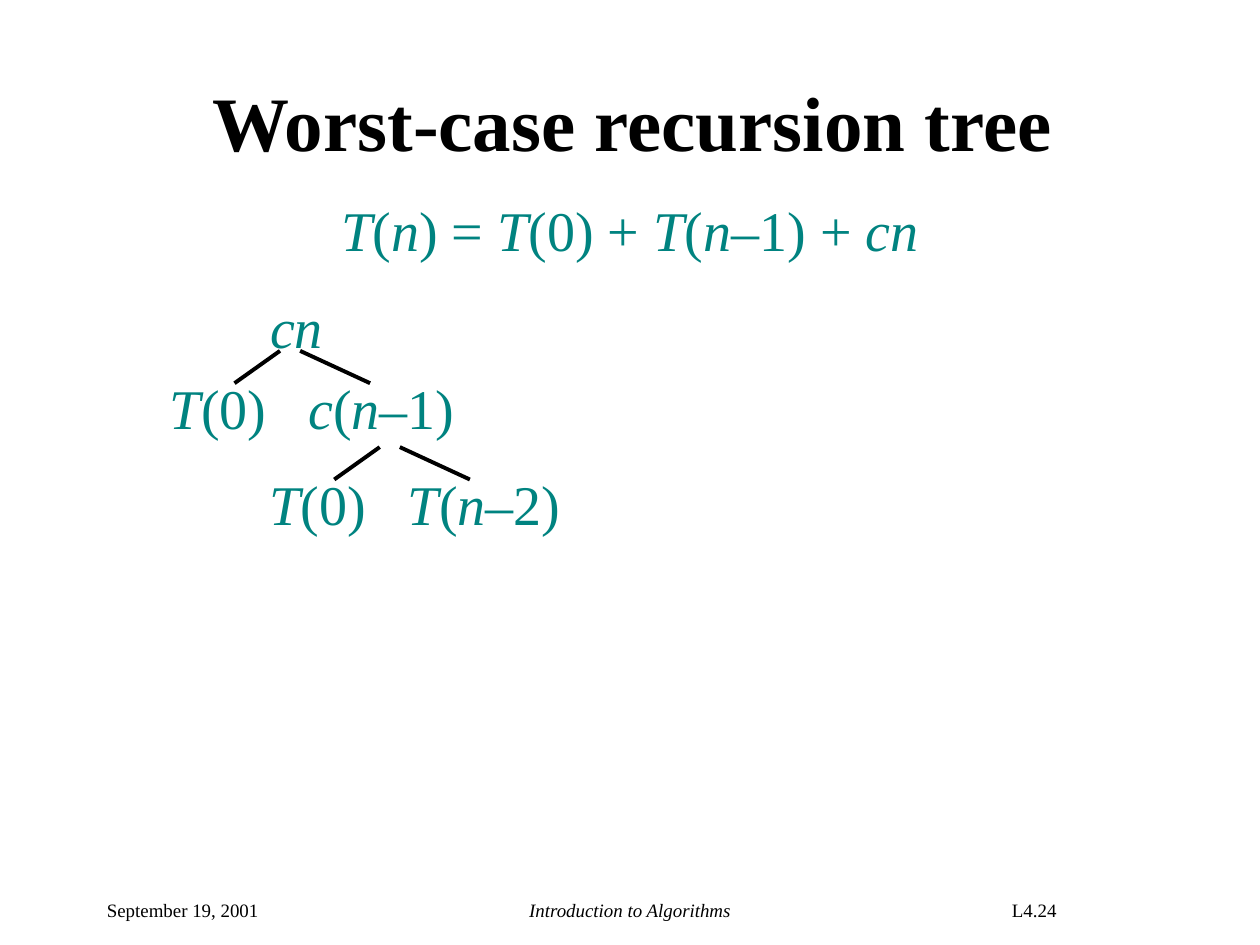
from itertools import groupby

from pptx import Presentation
from pptx.dml.color import RGBColor
from pptx.enum.shapes import MSO_CONNECTOR, MSO_SHAPE
from pptx.enum.text import MSO_ANCHOR, MSO_AUTO_SIZE, PP_ALIGN
from pptx.oxml.ns import qn
from pptx.util import Pt

BLACK = RGBColor(0x00, 0x00, 0x00)
WHITE = RGBColor(0xFF, 0xFF, 0xFF)
TEAL = RGBColor(0x00, 0x83, 0x80)
FONT = "Times New Roman"
TITLE_ONLY = 5
FORMULA_HEIGHT = 46


def set_font(p, size, color):
    p.font.name = FONT
    p.font.size = Pt(size)
    p.font.color.rgb = color


def write_formula(tf, text, align):
    """Write one line of mathematics with its letters in italics."""
    tf.word_wrap = False
    tf.auto_size = MSO_AUTO_SIZE.SHAPE_TO_FIT_TEXT
    tf.vertical_anchor = MSO_ANCHOR.TOP
    p = tf.paragraphs[0]
    p.alignment = align
    set_font(p, 32, TEAL)
    for is_variable, chars in groupby(text, str.isalpha):
        r = p.add_run()
        r.text = "".join(chars)
        r.font.italic = is_variable


def add_title(slide, x, y, w, h):
    sp = slide.shapes.title
    sp.left, sp.top, sp.width, sp.height = Pt(x), Pt(y), Pt(w), Pt(h)
    tf = sp.text_frame
    tf.text = "Worst-case recursion tree"
    tf.vertical_anchor = MSO_ANCHOR.MIDDLE
    p = tf.paragraphs[0]
    p.alignment = PP_ALIGN.LEFT
    set_font(p, 44, BLACK)
    p.font.bold = True


def add_recurrence(slide, x, y, w):
    sp = slide.shapes.add_textbox(Pt(x), Pt(y), Pt(w), Pt(FORMULA_HEIGHT))
    write_formula(sp.text_frame, "T(n) = T(0) + T(n–1) + cn", PP_ALIGN.CENTER)


def add_node(slide, text, x, y, w, align=PP_ALIGN.LEFT):
    sp = slide.shapes.add_shape(
        MSO_SHAPE.RECTANGLE, Pt(x), Pt(y), Pt(w), Pt(FORMULA_HEIGHT))
    sp.shadow.inherit = False
    sp.fill.solid()
    sp.fill.fore_color.rgb = WHITE
    sp.line.fill.background()
    write_formula(sp.text_frame, text, align)


def add_branch(slide, x1, y1, x2, y2):
    line = slide.shapes.add_connector(
        MSO_CONNECTOR.STRAIGHT, Pt(x1), Pt(y1), Pt(x2), Pt(y2))
    line.line.color.rgb = BLACK
    line.line.width = Pt(2.25)
    sp_pr = line._element.spPr
    sp_pr.append(sp_pr.makeelement(qn("a:effectLst"), {}))


def add_level(slide, x, y, right_text, right_width):
    """Add a pair of children and the branches up to their parent."""
    add_node(slide, "T(0)", x, y, 70)
    add_node(slide, right_text, x + 79, y, right_width)
    for child_x, parent_x in ((44, 70), (121.5, 81.5)):
        add_branch(slide, x + child_x, y + 9, x + parent_x, y - 9.5)


def add_tree(slide, x, y):
    add_node(slide, "cn", x + 57, y, 45, PP_ALIGN.CENTER)
    add_level(slide, x, y + 46.5, "c(n–1)", 99)
    add_level(slide, x + 57, y + 101.5, "T(n–2)", 102)


def add_footer(slide, x, y, h):
    parts = (
        ("September 19, 2001", 0, 150, PP_ALIGN.LEFT, False),
        ("Introduction to Algorithms", 192, 228, PP_ALIGN.CENTER, True),
        ("L4.24", 462, 150, PP_ALIGN.CENTER, False),
    )
    for text, dx, w, align, italic in parts:
        sp = slide.shapes.add_textbox(Pt(x + dx), Pt(y), Pt(w), Pt(h))
        tf = sp.text_frame
        tf.word_wrap = True
        tf.text = text
        p = tf.paragraphs[0]
        p.alignment = align
        set_font(p, 10.8, BLACK)
        p.font.italic = italic


def main():
    prs = Presentation()
    prs.slide_width, prs.slide_height = Pt(720), Pt(540)
    slide = prs.slides.add_slide(prs.slide_layouts[TITLE_ONLY])
    add_footer(slide, 54, 510, 18)
    add_title(slide, 114, 24, 594, 90)
    add_recurrence(slide, 186, 108, 348)
    add_tree(slide, 90, 163.5)
    prs.save("out.pptx")


if __name__ == "__main__":
    main()
